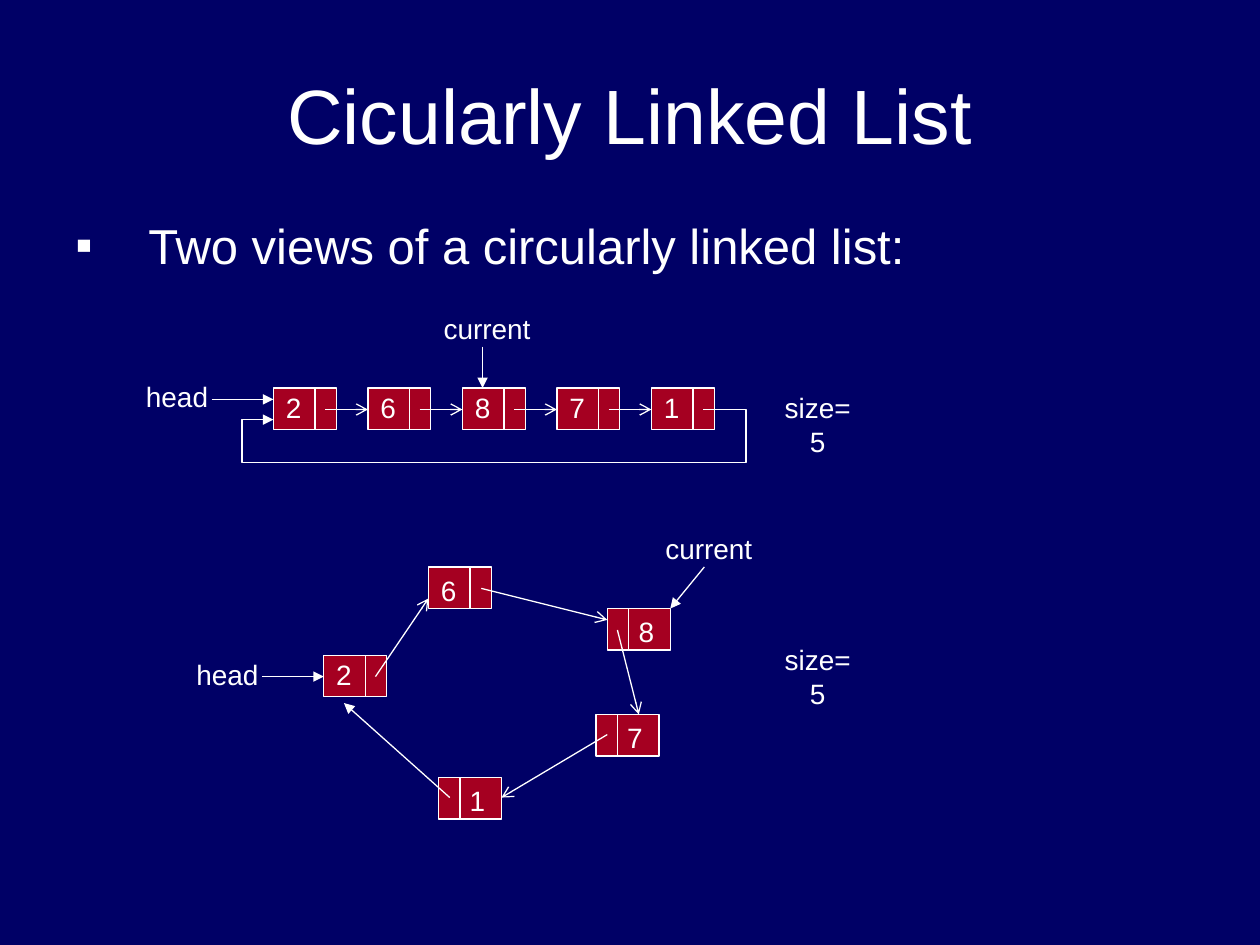
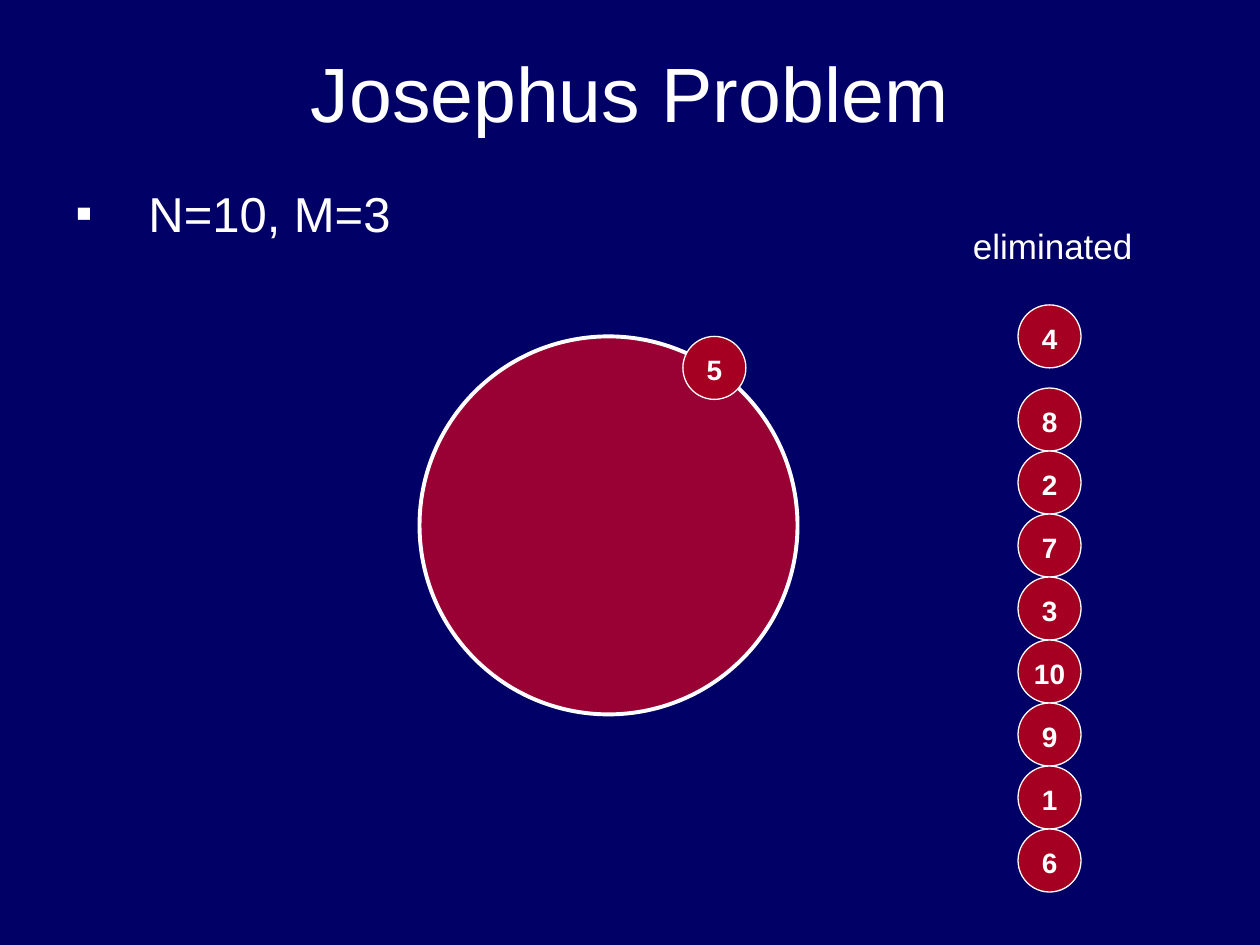
from pptx import Presentation
from pptx import util as u
from pptx.dml.color import RGBColor
from pptx.enum import shapes, text
from pptx.oxml import ns, xmlchemy

HUES = {"back": "000066", "ink": "FFFFFF", "node": "A50021", "ring": "990033"}
FONT = {"name": "Arial", "size": u.Pt(16), "bold": False}
THIN = 0.75
NODE_W, NODE_H, LINK_W, BALL = 0.5, 0.33, 0.17, 0.5
MID = text.PP_ALIGN.CENTER
LEFT = text.PP_ALIGN.LEFT


def hue(name):
    return RGBColor.from_string(HUES[name])


def span(*nums):
    return [u.Inches(n) for n in nums]


def apply(item, form):
    for key, val in form.items():
        setattr(item, key, val)


def add_sub(parent, tag, **attrs):
    child = xmlchemy.OxmlElement(tag)
    for key, val in attrs.items():
        child.set(key, val)
    parent.append(child)


def add_page(deck, title, top):
    page = deck.slides.add_slide(deck.slide_layouts[6])
    page.background.fill.solid()
    page.background.fill.fore_color.rgb = hue("back")
    add_text(page, title, (0.5, top, 9, 1), MID, size=44,
             frame={"vertical_anchor": text.MSO_ANCHOR.MIDDLE})
    return page


def add_text(page, words, area, align=LEFT, size=16, bold=False, frame=None):
    box = page.shapes.add_textbox(*span(*area))
    apply(box.text_frame, {"word_wrap": True, **(frame or {})})
    para = box.text_frame.paragraphs[0]
    para.alignment = align
    run = para.add_run()
    run.text = words
    apply(run.font, {**FONT, "size": u.Pt(size), "bold": bold})
    run.font.color.rgb = hue("ink")
    return para


def add_label(page, words, area, size=16):
    add_text(page, words, area, MID, size, frame={
        "word_wrap": False, "auto_size": text.MSO_AUTO_SIZE.SHAPE_TO_FIT_TEXT})


def add_bullet(page, words, top, height):
    para = add_text(page, words, (0.5, top, 9, height), size=28)
    para.line_spacing = 0.8
    props = para._p.get_or_add_pPr()
    props.set("marL", str(u.Inches(0.58)))
    props.set("indent", str(-u.Inches(0.58)))
    add_sub(props, "a:buFont", typeface="Arial")
    add_sub(props, "a:buChar", char="▪")


def add_form(page, kind, area, fill, width=THIN):
    form = page.shapes.add_shape(kind, *span(*area))
    form.shadow.inherit = False
    form.fill.solid()
    form.fill.fore_color.rgb = hue(fill)
    draw_edge(form, width)


def draw_edge(form, width=THIN, head=None):
    """Colour the outline and, if asked, put an arrowhead at its end."""
    form.line.color.rgb = hue("ink")
    form.line.width = u.Pt(width)
    if head:
        edge = form.element.spPr.find(ns.qn("a:ln"))
        add_sub(edge, "a:tailEnd", type=head, w="med", len="med")


def add_line(page, start, end, head=None):
    line = page.shapes.add_connector(
        shapes.MSO_CONNECTOR.STRAIGHT, *span(*start, *end))
    draw_edge(line, head=head)
    add_sub(line.element.spPr, "a:effectLst")


def add_path(page, points, head):
    first, *rest = [tuple(span(*point)) for point in points]
    pen = page.shapes.build_freeform(*first)
    pen.add_line_segments(rest, close=False)
    path = pen.convert_to_shape()
    path.shadow.inherit = False
    path.fill.background()
    draw_edge(path, head=head)


def add_node(page, value, left, top, drop=-0.03, flip=False):
    """Draw a list node; flip puts its link cell on the left."""
    add_form(page, shapes.MSO_SHAPE.RECTANGLE, (left, top, NODE_W, NODE_H), "node")
    split = left + (LINK_W if flip else NODE_W - LINK_W)
    add_line(page, (split, top), (split, top + NODE_H))
    shift = 0.15 if flip else 0
    add_text(page, value, (left + shift, top + drop, 0.27, 0.37))


def add_ball(page, value, left, top):
    add_form(page, shapes.MSO_SHAPE.OVAL, (left, top, BALL, BALL), "node")
    add_text(page, value, (left, top + 0.08, BALL, 0.37), MID, bold=True)


def draw_row(page):
    left, top, step = 2.17, 3.08, 0.75
    values = "26871"
    for i, value in enumerate(values):
        x = left + i * step
        add_node(page, value, x, top)
        if i < len(values) - 1:
            add_line(page, (x + 0.41, 3.25), (x + step, 3.25), "arrow")
    add_label(page, "head", (1.06, 2.96, 0.69, 0.37))
    add_line(page, (1.68, 3.17), (left, 3.17), "triangle")
    add_label(page, "current", (3.42, 2.42, 0.89, 0.37))
    add_line(page, (3.83, 2.75), (3.83, top), "triangle")
    add_label(page, "size=5", (6.07, 3.05, 0.84, 0.37))
    add_path(page, [(5.58, 3.25), (5.92, 3.25), (5.92, 3.67),
                    (1.92, 3.67), (1.92, 3.33), (left, 3.33)], "triangle")


def draw_ring(page):
    for node in [("2", 2.57, 5.2), ("6", 3.4, 4.5, 0), ("8", 4.82, 4.83, 0, True),
                 ("7", 4.73, 5.67, 0, True), ("1", 3.48, 6.17, 0, True)]:
        add_node(page, *node)
    for start, end in [((2.98, 5.37), (3.4, 4.75)), ((3.82, 4.67), (4.82, 4.92)),
                       ((4.9, 5), (5.07, 5.67)), ((4.82, 5.83), (3.98, 6.33))]:
        add_line(page, start, end, "arrow")
    add_line(page, (3.57, 6.33), (2.73, 5.58), "triangle")
    add_label(page, "head", (1.46, 5.17, 0.69, 0.37))
    add_line(page, (2.08, 5.37), (2.57, 5.37), "triangle")
    add_label(page, "current", (5.18, 4.17, 0.89, 0.37))
    add_line(page, (5.59, 4.5), (5.32, 4.83), "triangle")
    add_label(page, "size=5", (6.07, 5.05, 0.84, 0.37))


def draw_game(page):
    add_form(page, shapes.MSO_SHAPE.OVAL, (3.33, 2.67, 3, 3), "ring", 2.25)
    add_ball(page, "5", 5.42, 2.67)
    add_label(page, "eliminated", (7.62, 1.73, 1.47, 0.44), 20)
    first, *others = ["4", "8", "2", "7", "3", "10", "9", "1", "6"]
    add_ball(page, first, 8.08, 2.42)
    for i, value in enumerate(others):
        add_ball(page, value, 8.08, 3.08 + i * BALL)


def main():
    deck = Presentation()
    apply(deck, {"slide_width": u.Inches(10), "slide_height": u.Inches(7.5)})

    page = add_page(deck, "Cicularly Linked List", 0.4)
    add_bullet(page, "Two views of a circularly linked list:", 1.75, 0.84)
    draw_row(page)
    draw_ring(page)

    page = add_page(deck, "Josephus Problem", 0.23)
    add_bullet(page, "N=10, M=3", 1.5, 0.67)
    draw_game(page)

    deck.save("out.pptx")


if __name__ == "__main__":
    main()
